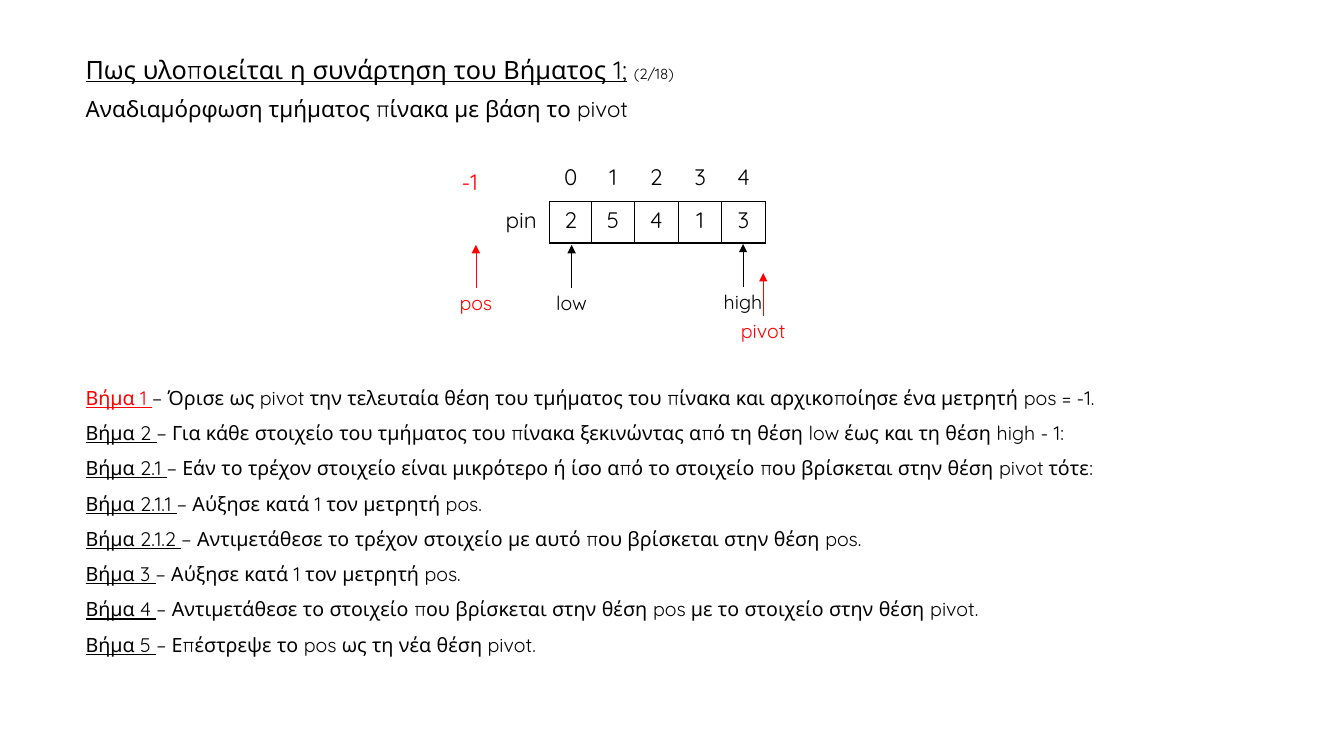
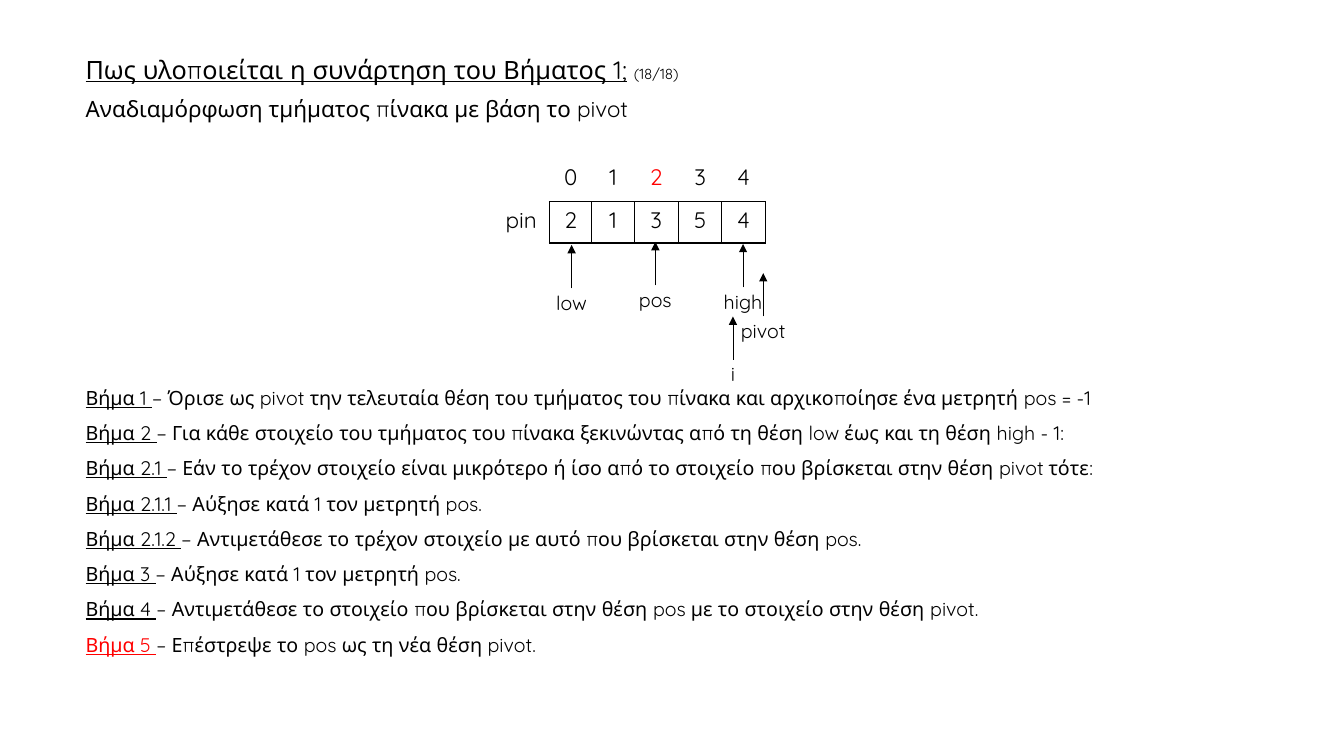
import pptx
import pptx.util
import pptx.dml.color
import pptx.enum.shapes
import pptx.enum.text
import pptx.oxml.ns
from lxml import etree
from pptx.util import Inches

BLACK = pptx.dml.color.RGBColor(0x00, 0x00, 0x00)
RED = pptx.dml.color.RGBColor(0xFF, 0x00, 0x00)
FONT = "Quicksand"
CENTER = pptx.enum.text.PP_ALIGN.CENTER
LEFT = pptx.enum.text.PP_ALIGN.LEFT

TITLE = "Πως υλοποιείται η συνάρτηση του Βήματος 1;"
SUBTITLE = "Αναδιαμόρφωση τμήματος πίνακα με βάση το pivot"
FIRST_STEP = "− Όρισε ως pivot την τελευταία θέση του τμήματος του πίνακα και αρχικοποίησε ένα μετρητή pos = -1"
LATER_STEPS = [
    ("2", "− Για κάθε στοιχείο του τμήματος του πίνακα ξεκινώντας από τη θέση low έως και τη θέση high - 1:"),
    ("2.1", "− Εάν το τρέχον στοιχείο είναι μικρότερο ή ίσο από το στοιχείο που βρίσκεται στην θέση pivot τότε:"),
    ("2.1.1", "− Αύξησε κατά 1 τον μετρητή pos."),
    ("2.1.2", "− Αντιμετάθεσε το τρέχον στοιχείο με αυτό που βρίσκεται στην θέση pos."),
    ("3", "− Αύξησε κατά 1 τον μετρητή pos."),
    ("4", "– Αντιμετάθεσε το στοιχείο που βρίσκεται στην θέση pos με το στοιχείο στην θέση pivot."),
    ("5", "– Επέστρεψε το pos ως τη νέα θέση pivot."),
]

COLUMN_WIDTHS = [0.56, 0.42, 0.42, 0.44, 0.43, 0.43]
ROW_HEIGHTS = [0.43, 0.41]
LABEL_WIDTH, LABEL_HEIGHT, ARROW_LENGTH = 0.73, 0.35, 0.43


def add_span(para, text, size=14, color=BLACK, underline=False):
    span = para.add_run()
    span.text = text
    span.font.name = FONT
    span.font.size = pptx.util.Pt(size)
    span.font.color.rgb = color
    span.font.underline = underline


def add_text(page, left, top, width, height, paras, align=LEFT, spacing=1.0, before=0):
    """Each paragraph is a list of (text, format) pairs."""
    box = page.shapes.add_textbox(Inches(left), Inches(top), Inches(width), Inches(height))
    frame = box.text_frame
    frame.word_wrap = True
    for number, spans in enumerate(paras):
        para = frame.add_paragraph() if number else frame.paragraphs[0]
        para.alignment = align
        para.line_spacing = spacing
        if number:
            para.space_before = pptx.util.Pt(before)
        for text, style in spans:
            add_span(para, text, **style)
    return box


def add_heading(page, left, top, counter):
    add_text(page, left, top, 10.79, 0.77, [
        [(TITLE, {"size": 18, "underline": True}),
         (" ", {"size": 18}),
         (f"({counter})", {"size": 10.5})],
        [(SUBTITLE, {"size": 16})],
    ], spacing=0.9, before=10)


def add_steps(page, left, top, active, first_ending):
    steps = [("1", FIRST_STEP + first_ending)] + LATER_STEPS
    add_text(page, left, top, 12.35, 2.88, [
        [(f"Βήμα {number} ", {"color": RED if number == active else BLACK, "underline": True}),
         (text, {})]
        for number, text in steps
    ], spacing=1.5)


def add_pointer(page, name, center, top, color=BLACK):
    """A label with an arrow rising from the middle of its top side."""
    label = add_text(page, center - LABEL_WIDTH / 2, top, LABEL_WIDTH, LABEL_HEIGHT,
                     [[(name, {"color": color})]], align=CENTER, spacing=0.9)
    arrow = page.shapes.add_connector(
        pptx.enum.shapes.MSO_CONNECTOR.STRAIGHT,
        Inches(center), Inches(top), Inches(center), Inches(top - ARROW_LENGTH))
    arrow.begin_connect(label, 0)
    arrow.line.color.rgb = color
    arrow.line.width = pptx.util.Pt(0.5)
    line = arrow.line._get_or_add_ln()
    etree.SubElement(line, pptx.oxml.ns.qn("a:tailEnd"), type="triangle")
    etree.SubElement(arrow._element.spPr, pptx.oxml.ns.qn("a:effectLst"))


def set_borders(cell, sides):
    """Draw the given sides (letters of LRTB) in black and clear the others."""
    properties = cell._tc.get_or_add_tcPr()
    for position, side in enumerate("LRTB"):
        line = etree.Element(pptx.oxml.ns.qn(f"a:ln{side}"), w=str(pptx.util.Pt(1)))
        if side in sides:
            fill = etree.SubElement(line, pptx.oxml.ns.qn("a:solidFill"))
            etree.SubElement(fill, pptx.oxml.ns.qn("a:srgbClr"), val=str(BLACK))
        else:
            etree.SubElement(line, pptx.oxml.ns.qn("a:noFill"))
        properties.insert(position, line)


def add_array(page, left, top, values, active_index=None):
    rows = [["", *range(len(values))], ["pin", *values]]
    frame = page.shapes.add_table(
        len(rows), len(COLUMN_WIDTHS), Inches(left), Inches(top),
        Inches(sum(COLUMN_WIDTHS)), Inches(sum(ROW_HEIGHTS)))
    table = frame.table
    table.first_row = False
    table.horz_banding = False
    for column, width in zip(table.columns, COLUMN_WIDTHS):
        column.width = Inches(width)
    for row, height in zip(table.rows, ROW_HEIGHTS):
        row.height = Inches(height)
    borders = [["", "B"], ["R", "LRTB"]]
    for r, row in enumerate(rows):
        for c, text in enumerate(row):
            cell = table.cell(r, c)
            cell.fill.background()
            set_borders(cell, borders[r][min(c, 1)])
            para = cell.text_frame.paragraphs[0]
            para.alignment = CENTER
            active = r == 0 and c > 0 and text == active_index
            if text != "":
                add_span(para, str(text), size=16, color=RED if active else BLACK)


def add_sort_page(deck, counter, values, active_step, pointers, first_ending="", active_index=None):
    page = deck.slides.add_slide(deck.slide_layouts[6])
    add_heading(page, 0.75, 0.52, counter)
    add_steps(page, 0.75, 3.66, active_step, first_ending)
    for pointer in pointers:
        add_pointer(page, *pointer)
    add_array(page, 4.89, 1.57, values, active_index)
    return page


def main():
    deck = pptx.Presentation()
    deck.slide_width, deck.slide_height = Inches(13.33), Inches(7.5)
    high, low = ("high", 7.37, 2.85), ("low", 5.67, 2.86)
    pivot = ("pivot", 7.57, 3.14)

    start = add_sort_page(deck, "2/18", [2, 5, 4, 1, 3], "1",
                          [high, (*pivot, RED), low, ("pos", 4.72, 2.86, RED)],
                          first_ending=".")
    add_text(start, 4.48, 1.62, 0.47, 0.37, [[("-1", {"size": 16, "color": RED})]])

    add_sort_page(deck, "18/18", [2, 1, 3, 5, 4], "5",
                  [high, pivot, low, ("pos", 6.5, 2.83), ("i", 7.27, 3.57)],
                  active_index=2)
    deck.save("out.pptx")


if __name__ == "__main__":
    main()
